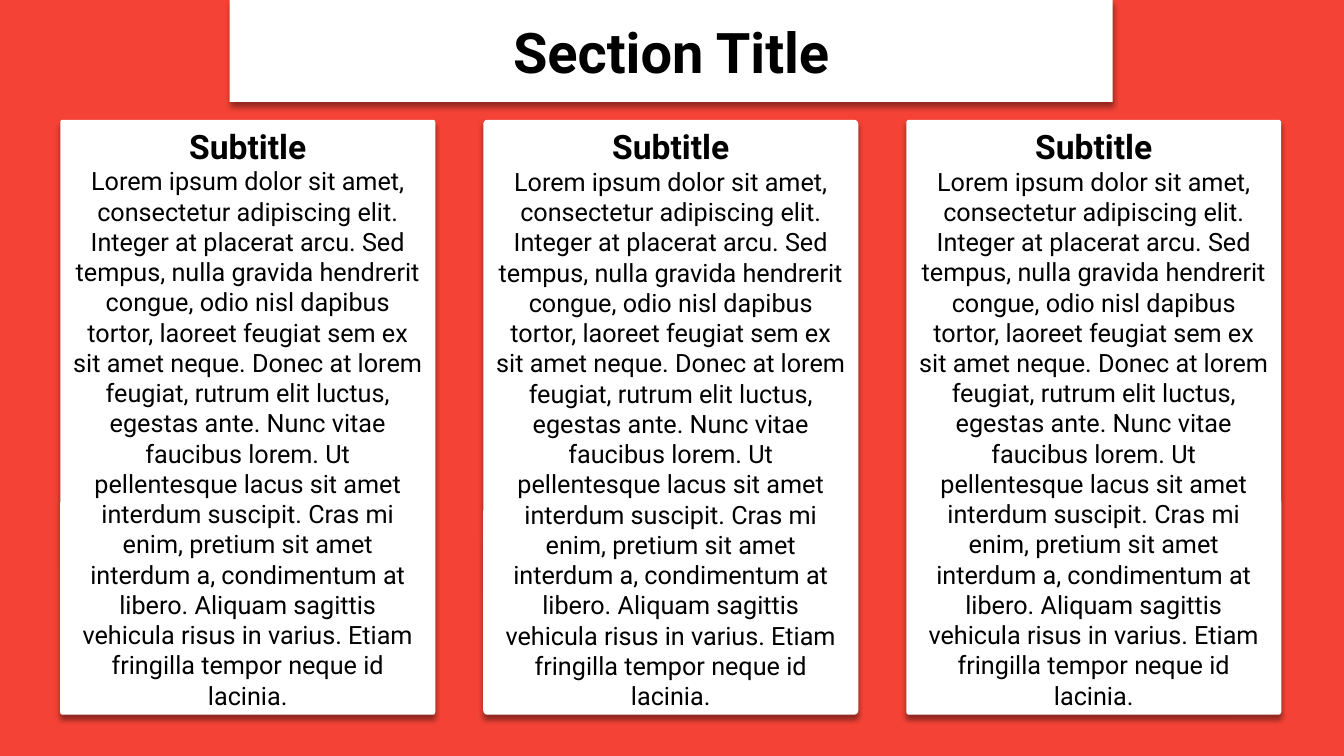
import pptx
import pptx.util
import pptx.dml.color
import pptx.enum.shapes
import pptx.enum.text
import pptx.oxml.ns
from lxml import etree

Cm = pptx.util.Cm
Kind = pptx.enum.shapes.MSO_SHAPE
Anchor = pptx.enum.text.MSO_ANCHOR

WIDE, HIGH = 33.87, 19.05
LOREM = (
    "Lorem ipsum dolor sit amet, consectetur adipiscing elit. Integer at placerat arcu. "
    "Sed tempus, nulla gravida hendrerit congue, odio nisl dapibus tortor, laoreet feugiat "
    "sem ex sit amet neque. Donec at lorem feugiat, rutrum elit luctus, egestas ante. "
    "Nunc vitae faucibus lorem. Ut pellentesque lacus sit amet interdum suscipit. "
    "Cras mi enim, pretium sit amet interdum a, condimentum at libero. Aliquam sagittis "
    "vehicula risus in varius. Etiam fringilla tempor neque id lacinia."
)


def color(code):
    return pptx.dml.color.RGBColor.from_string(code)


class Page:
    font = "Roboto"
    ink = "000000"
    paper = "FFFFFF"
    red = "F44336"

    def __init__(self, deck):
        self.slide = deck.slides.add_slide(deck.slide_layouts[6])

    def shade(self, shape, angle):
        shape.shadow.inherit = False
        qn = pptx.oxml.ns.qn
        effect = shape.element.spPr.find(qn("a:effectLst"))
        outer = etree.SubElement(
            effect, qn("a:outerShdw"),
            blurRad=str(pptx.util.Pt(4)), dist=str(pptx.util.Pt(3)),
            dir=str(angle * 60000), algn="t", rotWithShape="0")
        tint = etree.SubElement(outer, qn("a:srgbClr"), val="000000")
        etree.SubElement(tint, qn("a:alpha"), val="40000")

    def panel(self, kind, box, fill, angle=90):
        shape = self.slide.shapes.add_shape(kind, *map(Cm, box))
        shape.fill.solid()
        shape.fill.fore_color.rgb = color(fill)
        shape.line.fill.background()
        self.shade(shape, angle)
        return shape

    def label(self, shape, lines, anchor):
        frame = shape.text_frame
        frame.word_wrap = True
        frame.vertical_anchor = anchor
        frame.text = "\n".join(text for text, size, bold in lines)
        for para, (text, size, bold) in zip(frame.paragraphs, lines):
            para.alignment = pptx.enum.text.PP_ALIGN.CENTER
            for run in para.runs:
                run.font.name = self.font
                run.font.size = pptx.util.Pt(size)
                run.font.bold = bold
                run.font.color.rgb = color(self.ink)

    def back(self):
        self.panel(Kind.RECTANGLE, (0, 0, WIDE, HIGH), self.red, 270)

    def card(self, left, curve, head, body):
        box = (left, 3.02, 9.45, 14.99)
        shape = self.panel(Kind.ROUNDED_RECTANGLE, box, self.paper)
        shape.adjustments[0] = curve
        self.label(shape, [(head, 24, True), (body, 18, False)], Anchor.TOP)

    def title(self, text):
        shape = self.panel(Kind.RECTANGLE, (5.79, 0, 22.25, 2.57), self.paper)
        self.label(shape, [(text, 40, True)], Anchor.MIDDLE)


def main():
    deck = pptx.Presentation()
    deck.slide_width = Cm(WIDE)
    deck.slide_height = Cm(HIGH)
    page = Page(deck)
    page.back()
    for col, curve in ((0, 0.006), (2, 0.007), (1, 0.011)):
        page.card(1.52 + col * 10.66, curve, "Subtitle", LOREM)
    page.title("Section Title")
    deck.save("out.pptx")


if __name__ == "__main__":
    main()
